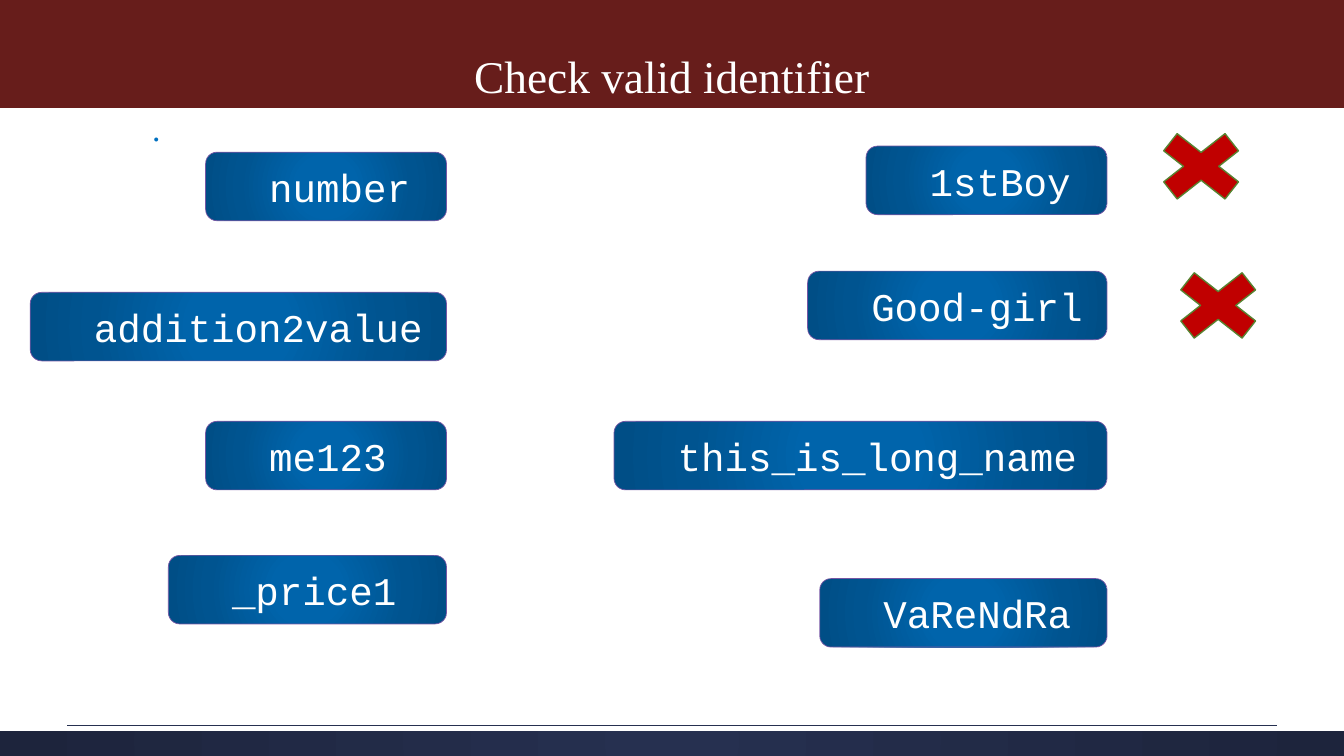
from dataclasses import dataclass

from lxml import etree
from pptx import Presentation
from pptx import util as u
from pptx.dml.color import RGBColor
from pptx.enum import shapes, text
from pptx.oxml import ns

SERIF, MONO = "Times New Roman", "Courier New"
WHITE, MAROON, RED = "FFFFFF", "671D1B", "C00000"
FOOTER_STOPS = [(0, "263050"), (100, "1D243C")]
BOX_STOPS = [(0, "0064AB"), (23, "0064AB"), (69, "005490"), (97, "004E86")]
SHAPE = shapes.MSO_SHAPE

prs = Presentation()
prs.slide_width, prs.slide_height = u.Inches(13.333), u.Inches(7.5)
slide = prs.slides.add_slide(prs.slide_layouts[6])


@dataclass
class Area:
    """A rectangle in percent of the slide's width and height."""
    left: float
    top: float
    width: float
    height: float

    def emu(self) -> tuple[int, ...]:
        return (pct_x(self.left), pct_y(self.top),
                pct_x(self.width), pct_y(self.height))


@dataclass
class Identifier:
    name: str
    right: float
    top: float
    width: float


def pct_x(share: float) -> int:
    return round(prs.slide_width * share / 100)


def pct_y(share: float) -> int:
    return round(prs.slide_height * share / 100)


def rgb(value: str) -> RGBColor:
    return RGBColor.from_string(value)


def fill_radial(sp, stops: list[tuple[int, str]]) -> None:
    """Fill with a gradient that runs from the centre outwards."""
    sp.fill.background()
    grad = etree.Element(ns.qn("a:gradFill"), rotWithShape="1")
    gs_list = etree.SubElement(grad, ns.qn("a:gsLst"))
    for position, color in stops:
        gs = etree.SubElement(gs_list, ns.qn("a:gs"), pos=str(position * 1000))
        etree.SubElement(gs, ns.qn("a:srgbClr"), val=color)
    circle = etree.SubElement(grad, ns.qn("a:path"), path="circle")
    etree.SubElement(circle, ns.qn("a:fillToRect"),
                     {side: "50000" for side in "ltrb"})
    props = sp._element.spPr
    props.replace(props.find(ns.qn("a:noFill")), grad)


def add_shape(kind, area: Area, fill: str | list[tuple[int, str]],
              line: str | None = None, weight: float = 1):
    sp = slide.shapes.add_shape(kind, *area.emu())
    sp.shadow.inherit = False
    if isinstance(fill, str):
        sp.fill.solid()
        sp.fill.fore_color.rgb = rgb(fill)
    else:
        fill_radial(sp, fill)
    if line:
        sp.line.color.rgb = rgb(line)
        sp.line.width = u.Pt(weight)
    else:
        sp.line.fill.background()
    return sp


def write(sp, words: str, *, font: str, size: float, color: str = WHITE,
          anchor=text.MSO_ANCHOR.MIDDLE, align=text.PP_ALIGN.LEFT,
          indent: float = 0, inset: float = 0.1, spacing: float = 1) -> None:
    tf = sp.text_frame
    tf.word_wrap = True
    tf.vertical_anchor = anchor
    tf.margin_left = u.Inches(inset)
    p = tf.paragraphs[0]
    p.alignment, p.line_spacing = align, spacing
    props = p._p.get_or_add_pPr()
    props.set("marL", str(u.Inches(indent)))
    props.set("indent", "0")
    r = p.add_run()
    r.text = words
    r.font.name, r.font.size = font, u.Pt(size)
    r.font.color.rgb = rgb(color)


def add_rule(left: float, right: float, y: float, color: str) -> None:
    rule = slide.shapes.add_connector(
        shapes.MSO_CONNECTOR.STRAIGHT,
        pct_x(left), pct_y(y), pct_x(right), pct_y(y))
    rule.line.color.rgb = rgb(color)
    rule.line.width = u.Pt(0.75)
    etree.SubElement(rule._element.spPr, ns.qn("a:effectLst"))


def add_identifier(item: Identifier) -> None:
    area = Area(item.right - item.width, item.top, item.width, 9.07)
    sp = add_shape(SHAPE.ROUNDED_RECTANGLE, area, BOX_STOPS, "7556A4", 0.5)
    write(sp, item.name, font=MONO, size=28, indent=0.5)


LEFT_EDGE, RIGHT_EDGE = 33.23, 82.37
IDENTIFIERS = [
    Identifier("number", LEFT_EDGE, 20.13, 17.93),
    Identifier("addition2value", LEFT_EDGE, 38.67, 30.98),
    Identifier("me123", LEFT_EDGE, 55.73, 17.93),
    Identifier("_price1", LEFT_EDGE, 73.47, 20.7),
    Identifier("1stBoy", RIGHT_EDGE, 19.33, 17.93),
    Identifier("Good-girl", RIGHT_EDGE, 35.87, 22.28),
    Identifier("this_is_long_name", RIGHT_EDGE, 55.73, 36.68),
    Identifier("VaReNdRa", RIGHT_EDGE, 76.53, 21.38),
]
CROSSES = [Area(84.98, 15.87, 8.78, 12.27), Area(86.25, 34.27, 8.78, 12.27)]

add_shape(SHAPE.RECTANGLE, Area(0, 96, 100, 4), FOOTER_STOPS)
add_shape(SHAPE.RECTANGLE, Area(0, 96, 100, 0.67), WHITE)
add_rule(5, 95, 95.95, "263050")

title = add_shape(SHAPE.RECTANGLE, Area(0, 0, 100, 14.27), MAROON)
write(title, "Check valid identifier", font=SERIF, size=32.4,
      anchor=text.MSO_ANCHOR.BOTTOM, align=text.PP_ALIGN.CENTER)

body = slide.shapes.add_textbox(*Area(10.95, 14.27, 78, 82.27).emu())
write(body, ".", font=SERIF, size=24, color="0070C0",
      anchor=text.MSO_ANCHOR.TOP, indent=0.05, inset=0, spacing=0.9)

for identifier in IDENTIFIERS:
    add_identifier(identifier)
for cross in CROSSES:
    add_shape(SHAPE.MATH_MULTIPLY, cross, RED, "588331")

prs.save("out.pptx")
